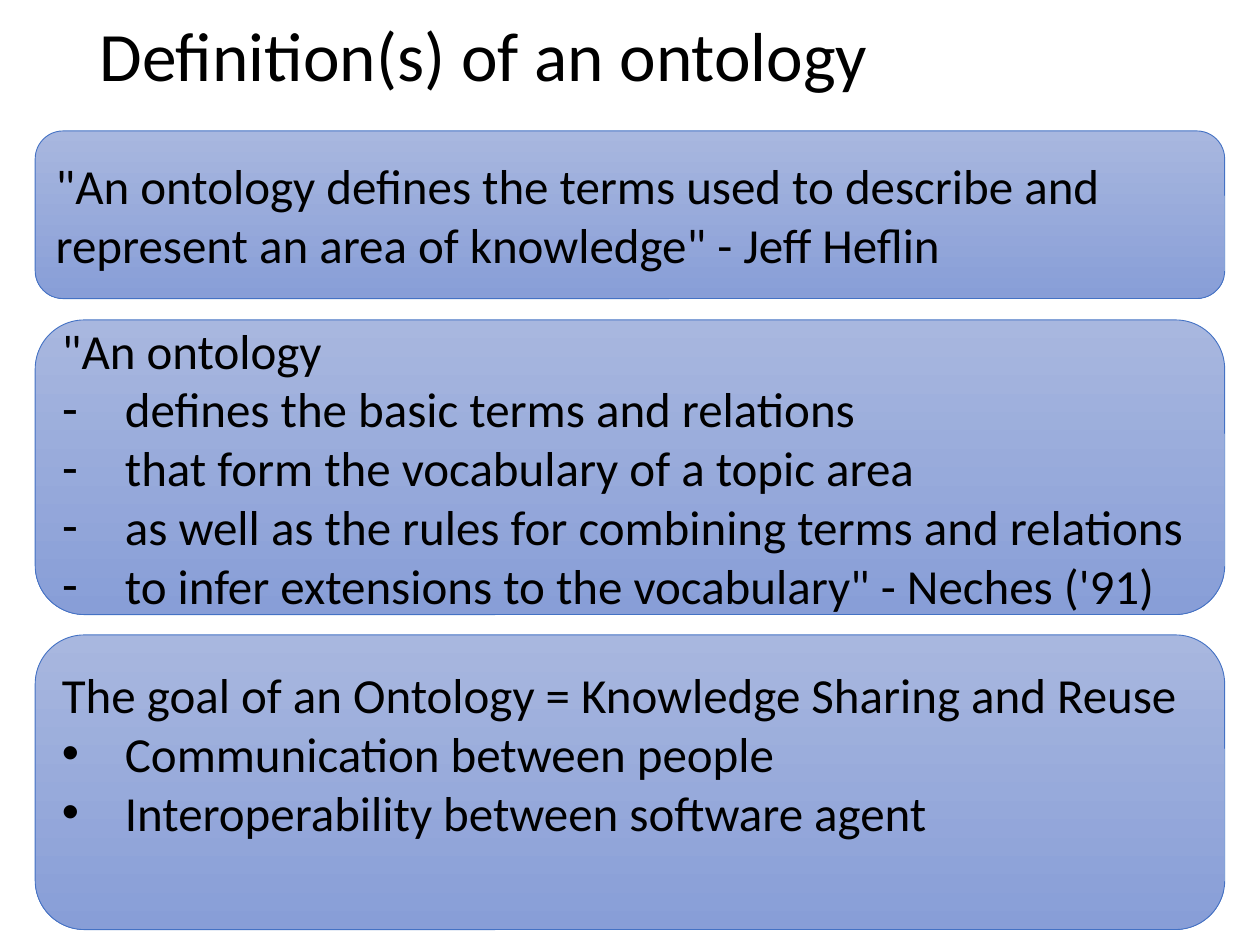
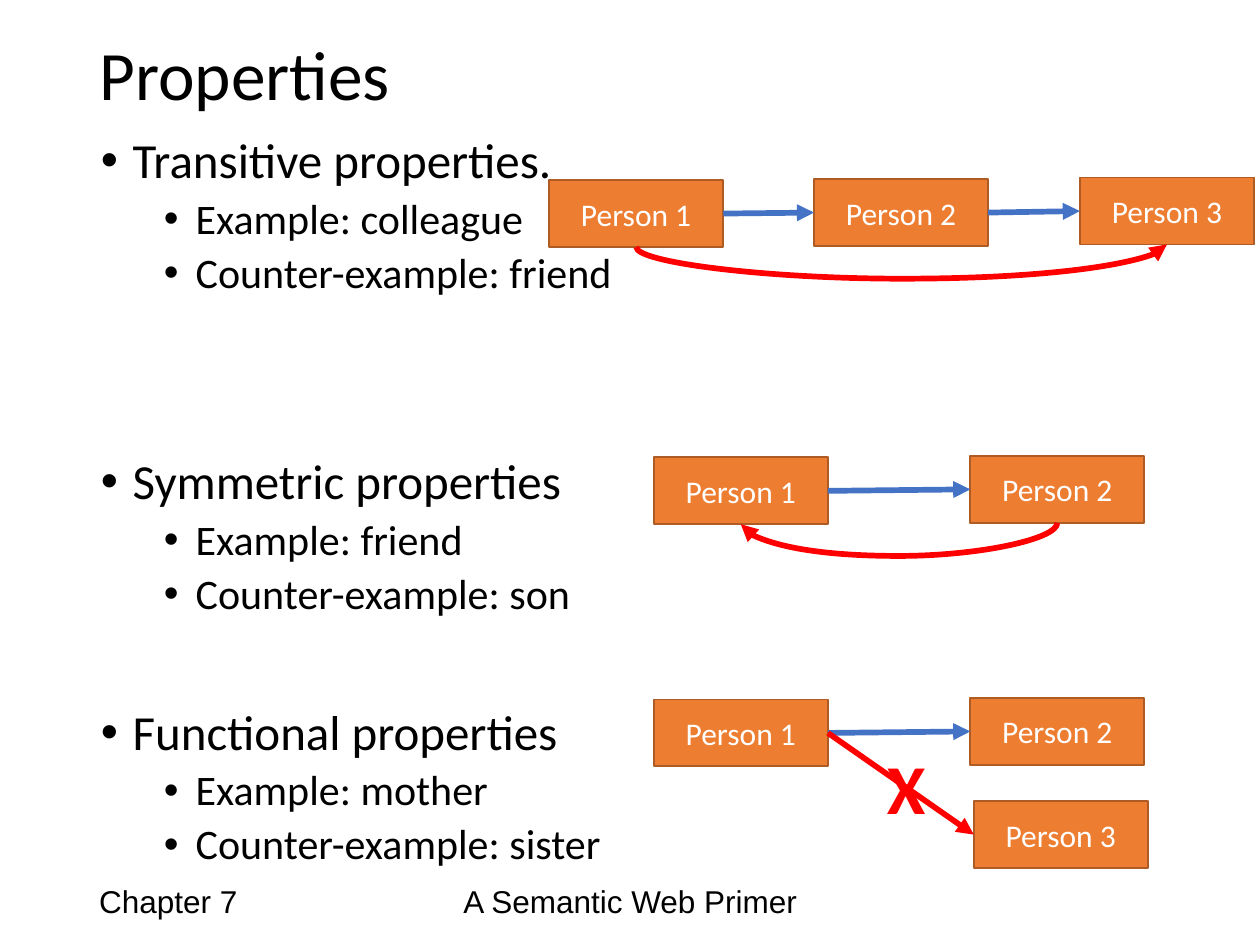
from lxml.etree import SubElement
from pptx import Presentation
from pptx.dml.color import RGBColor
from pptx.enum.shapes import MSO_CONNECTOR, MSO_SHAPE
from pptx.enum.text import MSO_ANCHOR, MSO_AUTO_SIZE, PP_ALIGN
from pptx.oxml.ns import qn
from pptx.util import Cm, Pt


class Theme:
    black = RGBColor.from_string("000000")
    white = RGBColor.from_string("FFFFFF")
    red = RGBColor.from_string("FF0000")
    blue = RGBColor.from_string("4472C4")
    orange = RGBColor.from_string("ED7D31")
    brown = RGBColor.from_string("AF5C24")
    fade = [RGBColor.from_string("A8B7DF"), RGBColor.from_string("889ED7")]
    title = {"name": "Calibri", "size": Pt(39.6)}
    text = {"name": "Calibri", "size": Pt(28)}
    sub = {"name": "Calibri", "size": Pt(24)}
    label = {"name": "Calibri", "size": Pt(18)}
    foot = {"name": "Arial", "size": Pt(18)}
    cross = {"name": "Calibri", "size": Pt(40), "bold": True}


LEFT = {"alignment": PP_ALIGN.LEFT}
MID = {"alignment": PP_ALIGN.CENTER}
TIGHT = LEFT | {"line_spacing": 0.9}
FRAME = {"word_wrap": True, "auto_size": MSO_AUTO_SIZE.NONE,
         "vertical_anchor": MSO_ANCHOR.MIDDLE}


def write(shape, rows, color=Theme.black, **frame):
    """Fill a shape with rows of (text, font, paragraph format, bullet, indent in cm)."""
    box = shape.text_frame
    for key, value in (FRAME | frame).items():
        setattr(box, key, value)
    for i, (text, font, form, mark, left, hang) in enumerate(rows):
        para = box.add_paragraph() if i else box.paragraphs[0]
        for key, value in form.items():
            setattr(para, key, value)
        if mark:
            props = para._p.get_or_add_pPr()
            props.set("marL", str(Cm(left)))
            props.set("indent", str(-Cm(hang)))
            SubElement(props, qn("a:buFont"), typeface="Arial")
            SubElement(props, qn("a:buChar"), char=mark)
        run = para.add_run()
        run.text = text
        run.font.color.rgb = color
        for key, value in font.items():
            setattr(run.font, key, value)


def arrow(line, color, end="tailEnd"):
    """Style a connector and put an arrowhead on the given end."""
    line.line.color.rgb = color
    line.line.width = Pt(3.25)
    props = line._element.spPr
    SubElement(props.find(qn("a:ln")), qn("a:" + end), type="triangle")
    SubElement(props, qn("a:effectLst"))


deck = Presentation()
deck.slide_width, deck.slide_height = Cm(25.4), Cm(19.05)

# Titles
pages = []
for name, layout, top, height in [
    ("Definition(s) of an ontology", 5, 0.3, 1.8),
    ("Properties", 1, 1.02, 1.09),
]:
    page = deck.slides.add_slide(deck.slide_layouts[layout])
    head = page.shapes.title
    head.left, head.top, head.width, head.height = map(Cm, (1.75, top, 21.9, height))
    write(head, [(name, Theme.title, TIGHT, None, 0, 0)])
    pages.append(page)
first, second = pages

# Definition panels: top, height, bottom inset, bullet, lines
panels = [
    (2.64, 3.38, 0.13, None, [
        "\"An ontology defines the terms used to describe and represent "
        "an area of knowledge\" - Jeff Heflin"]),
    (6.45, 5.94, 0.13, "-", [
        "\"An ontology",
        "defines the basic terms and relations",
        "that form the vocabulary of a topic area",
        "as well as the rules for combining terms and relations",
        "to infer extensions to the vocabulary\" - Neches ('91)"]),
    (12.8, 5.94, 1.32, "•", [
        "The goal of an Ontology = Knowledge Sharing and Reuse",
        "Communication between people",
        "Interoperability between software agent"]),
]
for top, height, inset, mark, lines in panels:
    panel = first.shapes.add_shape(
        MSO_SHAPE.ROUNDED_RECTANGLE, Cm(0.71), Cm(top), Cm(23.98), Cm(height))
    panel.shadow.inherit = False
    panel.fill.gradient()
    panel.fill.gradient_angle = 270
    for stop, color in zip(panel.fill.gradient_stops, Theme.fade):
        stop.color.rgb = color
    panel.line.color.rgb = Theme.blue
    panel.line.width = Pt(0.5)
    rows = [(line, Theme.text, LEFT, mark if i else None, 1.27, 1.27)
            for i, line in enumerate(lines)]
    write(panel, rows, margin_bottom=Cm(inset))

# Property list: kind, example, counter-example, space before
kinds = [
    ("Transitive properties.", "colleague", "friend", 0),
    ("Symmetric properties", "friend", "son", 91.5),
    ("Functional properties", "mother", "sister", 51),
]
rows = []
for kind, yes, no, gap in kinds:
    rows.append((kind, Theme.text, TIGHT | {"space_before": Pt(gap)}, "•", 0.64, 0.64))
    for line in (f"Example: {yes}", f"Counter-example: {no}"):
        form = TIGHT | {"level": 1, "space_before": Pt(5)}
        rows.append((line, Theme.sub, form, "•", 1.91, 0.64))
body = second.placeholders[1]
body.left, body.top, body.width, body.height = map(Cm, (1.78, 2.62, 21.9, 15.04))
write(body, rows, vertical_anchor=MSO_ANCHOR.TOP)

# Footers
for text, left, width, form in [
    ("Chapter 7", 1.75, 5.72, LEFT),
    ("A Semantic Web Primer", 8.41, 8.59, MID),
]:
    foot = second.shapes.add_textbox(Cm(left), Cm(17.65), Cm(width), Cm(1.02))
    write(foot, [(text, Theme.foot, form, None, 0, 0)])

# People in each diagram
groups = []
for spots in [
    [(11.07, 3.63), (16.41, 3.61), (21.77, 3.58)],
    [(13.18, 9.22), (19.56, 9.19)],
    [(13.18, 14.1), (19.56, 14.07), (19.63, 16.15)],
]:
    group = []
    for n, (left, top) in enumerate(spots, 1):
        box = second.shapes.add_shape(
            MSO_SHAPE.RECTANGLE, Cm(left), Cm(top), Cm(3.51), Cm(1.35))
        box.shadow.inherit = False
        box.fill.solid()
        box.fill.fore_color.rgb = Theme.orange
        box.line.color.rgb = Theme.brown
        box.line.width = Pt(1)
        write(box, [(f"Person {n}", Theme.label, MID, None, 0, 0)], Theme.white)
        group.append(box)
    groups.append(group)
trans, symm, func = groups

# Straight arrows, right side to left side
for start, stop, color in [
    (trans[0], trans[1], Theme.blue),
    (trans[1], trans[2], Theme.blue),
    (symm[0], symm[1], Theme.blue),
    (func[0], func[1], Theme.blue),
    (func[0], func[2], Theme.red),
]:
    line = second.shapes.add_connector(MSO_CONNECTOR.STRAIGHT, 0, 0, 0, 0)
    line.begin_connect(start, 3)
    line.end_connect(stop, 1)
    arrow(line, color)

# Curved arrows below the boxes: a turned connector that dips under both ends
dip = Cm(0.64)
for start, stop, end in [(trans[0], trans[2], "tailEnd"), (symm[0], symm[1], "headEnd")]:
    span, rise = stop.left - start.left, start.top - stop.top
    midx = (start.left + stop.left + start.width) // 2
    midy = (start.top + stop.top) // 2 + start.height
    curve = second.shapes.add_connector(
        MSO_CONNECTOR.CURVE, midx - rise // 2, midy - span // 2,
        midx + rise // 2, midy + span // 2)
    props = curve._element.spPr
    for key, value in {"rot": "5400000", "flipH": "1", "flipV": "1"}.items():
        props.find(qn("a:xfrm")).set(key, value)
    shape = props.find(qn("a:prstGeom"))
    guides = shape.find(qn("a:avLst"))
    if guides is None:
        guides = SubElement(shape, qn("a:avLst"))
    ratio = round(-dip / rise * 100000)
    SubElement(guides, qn("a:gd"), name="adj1", fmla=f"val {ratio}")
    arrow(curve, Theme.red, end)

cross = second.shapes.add_textbox(Cm(17.63), Cm(14.88), Cm(1.3), Cm(1.96))
write(cross, [("X", Theme.cross, LEFT, None, 0, 0)], Theme.red, word_wrap=False,
      auto_size=MSO_AUTO_SIZE.SHAPE_TO_FIT_TEXT, vertical_anchor=MSO_ANCHOR.TOP)

deck.save("out.pptx")
